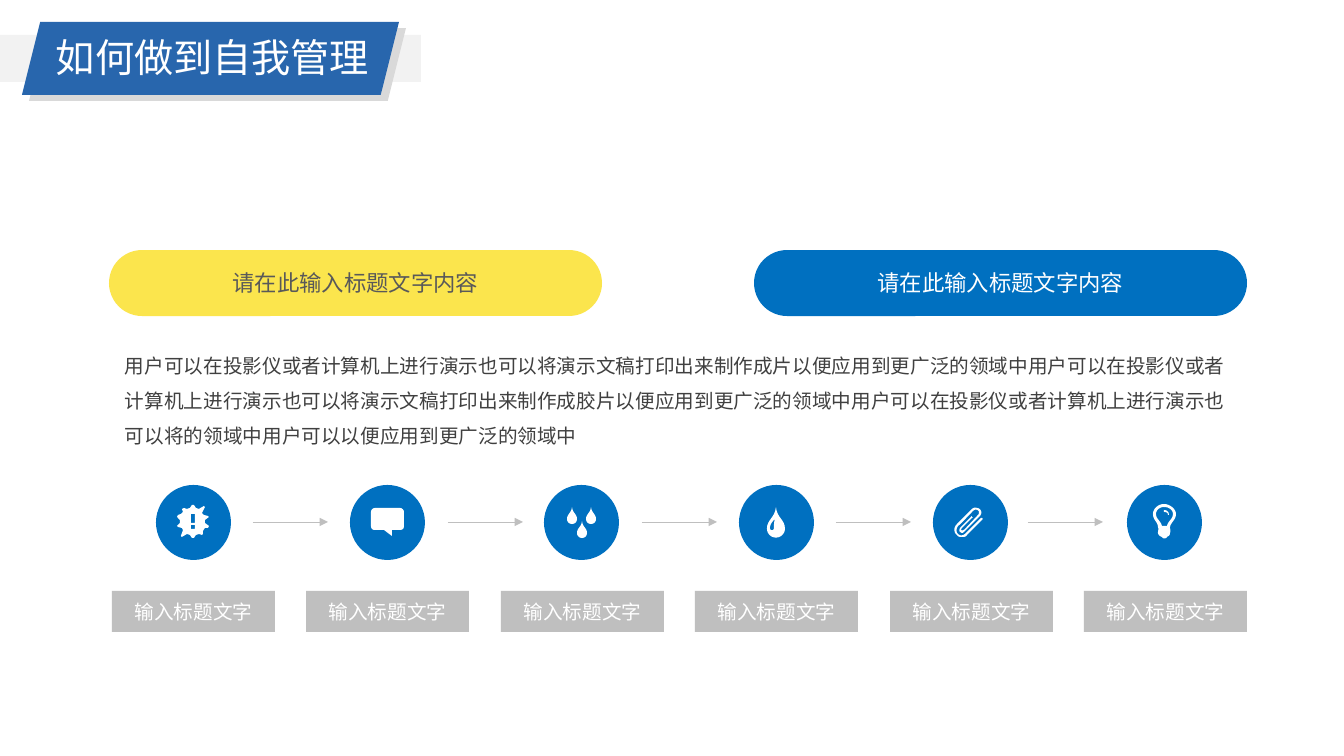
from lxml import etree
from pptx import Presentation
from pptx import util as u
from pptx.dml.color import RGBColor
from pptx.enum import shapes, text
from pptx.oxml import ns

PX = 914400 / 100.8
FONT = "Noto Sans CJK SC"
WHITE = RGBColor(0xFF, 0xFF, 0xFF)
BLUE = RGBColor(0x00, 0x70, 0xC0)
TITLE_BLUE = RGBColor(0x28, 0x66, 0xAD)
YELLOW = RGBColor(0xFB, 0xE5, 0x4D)
PALE_GRAY = RGBColor(0xF2, 0xF2, 0xF2)
SHADE_GRAY = RGBColor(0xD9, 0xD9, 0xD9)
GRAY = RGBColor(0xBF, 0xBF, 0xBF)
DARK_GRAY = RGBColor(0x59, 0x59, 0x59)
BODY_GRAY = RGBColor(0x40, 0x40, 0x40)
KIND = shapes.MSO_SHAPE

presentation = Presentation()
presentation.slide_width = u.Emu(round(1344 * PX))
presentation.slide_height = u.Emu(round(756 * PX))
slide = presentation.slides.add_slide(presentation.slide_layouts[6])


def add_block(kind, box, color):
    shape = slide.shapes.add_shape(kind, *[round(length * PX) for length in box])
    shape.shadow.inherit = False
    shape.fill.solid()
    shape.fill.fore_color.rgb = color
    shape.line.fill.background()
    return shape


def write_text(shape, words, size, color, margins, align, anchor, wrap=False):
    frame = shape.text_frame
    frame.word_wrap = wrap
    frame.vertical_anchor = anchor
    frame.margin_left = frame.margin_right = round(margins[0] * PX)
    frame.margin_top = frame.margin_bottom = round(margins[1] * PX)
    frame.text = words
    paragraph = frame.paragraphs[0]
    paragraph.alignment = align
    run = paragraph.runs[0]
    run.font.size = u.Pt(size)
    run.font.color.rgb = color
    run.font.name = FONT
    east_asian = etree.SubElement(run.font._element, ns.qn("a:ea"))
    east_asian.set("typeface", FONT)
    return paragraph


LEFT, CENTER = text.PP_ALIGN.LEFT, text.PP_ALIGN.CENTER
TOP, MIDDLE = text.MSO_ANCHOR.TOP, text.MSO_ANCHOR.MIDDLE

# Header
add_block(KIND.RECTANGLE, (0, 35, 421, 47), PALE_GRAY)
add_block(KIND.PARALLELOGRAM, (29, 28, 377, 73), SHADE_GRAY)
add_block(KIND.PARALLELOGRAM, (22, 22, 377, 73), TITLE_BLUE)
title = slide.shapes.add_textbox(*[round(v * PX) for v in (46, 28, 337, 57)])
write_text(title, "如何做到自我管理", 28, WHITE, (10, 5), LEFT, TOP)

# Two headings
for left, fill, ink in ((109, YELLOW, DARK_GRAY), (754, BLUE, WHITE)):
    pill = add_block(KIND.ROUNDED_RECTANGLE, (left, 250, 493, 66), fill)
    pill.adjustments[0] = 0.5
    write_text(pill, "请在此输入标题文字内容", 16, ink, (2, 2), CENTER, MIDDLE)

# Body text
body = slide.shapes.add_textbox(*[round(v * PX) for v in (118, 338, 1129, 109)])
body_paragraph = write_text(
    body,
    "用户可以在投影仪或者计算机上进行演示也可以将演示文稿打印出来制作成片以便应用到更广泛的领域中"
    "用户可以在投影仪或者计算机上进行演示也可以将演示文稿打印出来制作成胶片以便应用到更广泛的领域中"
    "用户可以在投影仪或者计算机上进行演示也可以将的领域中用户可以以便应用到更广泛的领域中",
    14, BODY_GRAY, (7, 4), LEFT, TOP, wrap=True)
body_paragraph.line_spacing = 1.5

# Icon outlines, in px from the corner of the circle:
# two numbers are a corner, six numbers are a Bézier curve
burst = [
    [(53, 41), (49, 38), (49, 35), (53, 32), (52, 31), (48, 30), (46, 28), (49, 22),
     (48, 21), (43, 24), (40, 23), (38, 20), (36, 20), (34, 23), (31, 24), (28, 23),
     (26, 24), (27, 27), (25, 29), (22, 30), (21, 32), (24, 35), (24, 38), (21, 41),
     (22, 42), (26, 43), (27, 45), (25, 51), (26, 52), (31, 49), (34, 50), (36, 53),
     (38, 53), (40, 50), (43, 49), (46, 50), (47, 49), (47, 46), (49, 43), (52, 43)],
    [(35, 29), (39, 29), (39, 38), (35, 38)],
    [(35, 40), (39, 40), (39, 44), (35, 44)],
]
speech = [[
    (50, 23), (25, 23), (23, 23, 21, 25, 21, 27), (21, 41), (21, 44, 23, 45, 25, 45),
    (34, 45), (42, 51), (42, 45), (50, 45), (52, 45, 54, 44, 54, 41), (54, 27),
    (54, 25, 52, 23, 50, 23),
]]
unit_drop = [
    (0, 0), (-0.1, 1.2, -1, 1.4, -1, 2.4), (-1, 2.95, -0.55, 3.4, 0, 3.4),
    (0.55, 3.4, 1, 2.95, 1, 2.4), (1, 1.4, 0.1, 1.2, 0, 0),
]
drops = []
for tip_x, tip_y, radius in ((38, 36, 5), (47, 22, 5), (28, 22, 5), (37, 22, 9)):
    drops.append([[(tip_y if i % 2 else tip_x) + radius * value
                   for i, value in enumerate(step)] for step in unit_drop])
glint = [(36, 34), (35, 37, 35, 40, 35, 43), (35, 46, 31, 46, 31, 43),
         (31, 39, 34, 36, 36, 34)]
clip = [[
    (29, 52), (27, 52, 25, 52, 24, 50), (21, 48, 20, 43, 24, 39),
    (26, 37, 35, 28, 39, 24), (40, 23, 42, 22, 44, 23), (46, 23, 48, 25, 48, 26),
    (49, 28, 48, 30, 46, 32), (32, 46), (31, 47, 30, 48, 29, 48),
    (28, 48, 28, 47, 27, 47), (26, 46, 26, 44, 28, 42), (38, 32),
    (38, 31, 39, 31, 39, 32), (40, 32, 40, 33, 39, 33), (29, 43),
    (28, 44, 28, 45, 28, 45), (29, 45, 29, 46, 29, 46), (30, 45, 30, 45, 31, 45),
    (45, 30), (46, 29, 46, 28, 46, 27), (46, 26, 45, 25, 44, 25),
    (43, 24, 41, 25, 40, 26), (36, 30, 28, 39, 25, 41), (23, 44, 23, 47, 25, 49),
    (27, 51, 30, 51, 33, 48), (48, 33), (48, 33, 49, 33, 49, 33),
    (50, 34, 50, 34, 49, 35), (34, 50), (33, 52, 31, 52, 29, 52),
]]
bulb = [
    [(37, 19), (43, 19, 49, 24, 49, 29), (49, 35, 44, 37, 43, 42),
     (43, 44, 44, 46, 43, 48), (43, 51, 41, 51, 40, 52), (39, 54, 36, 54, 35, 52),
     (33, 51, 32, 51, 31, 48), (31, 46, 32, 44, 31, 42), (31, 37, 26, 35, 26, 29),
     (26, 24, 31, 19, 37, 19)],
    [(37, 22), (42, 22, 46, 25, 46, 29), (46, 34, 41, 36, 40, 41), (35, 41),
     (34, 36, 29, 34, 29, 29), (29, 25, 33, 22, 37, 22)],
    [(37, 25), (41, 25, 42, 28, 42, 30), (41, 30), (41, 28, 40, 27, 37, 27)],
]

# Six steps: circle, icon and label
FINE = 100
CURVE_STEPS = 8
icons = [burst, speech, drops[:3], [drops[3], glint], clip, bulb]
for index, icon in enumerate(icons):
    circle_left = round(156 + index * 194.2)
    add_block(KIND.OVAL, (circle_left, 485, 75, 75), BLUE)

    builder = None
    for contour in icon:
        points = [tuple(contour[0])]
        for step in contour[1:]:
            if len(step) == 2:
                points.append(step)
                continue
            x0, y0 = points[-1]
            x1, y1, x2, y2, x3, y3 = step
            for part in range(1, CURVE_STEPS + 1):
                t = part / CURVE_STEPS
                a, b, c, d = (1 - t) ** 3, 3 * t * (1 - t) ** 2, 3 * t * t * (1 - t), t ** 3
                points.append((a * x0 + b * x1 + c * x2 + d * x3,
                               a * y0 + b * y1 + c * y2 + d * y3))
        points = [(round(x * FINE), round(y * FINE)) for x, y in points]
        if builder is None:
            builder = slide.shapes.build_freeform(*points[0], scale=PX / FINE)
        else:
            builder.move_to(*points[0])
        builder.add_line_segments(points[1:], close=True)
    symbol = builder.convert_to_shape(round(circle_left * PX), round(485 * PX))
    symbol.shadow.inherit = False
    symbol.fill.solid()
    symbol.fill.fore_color.rgb = WHITE
    symbol.line.fill.background()

    label = add_block(KIND.RECTANGLE, (round(112 + index * 194.4), 591, 163, 41), GRAY)
    write_text(label, "输入标题文字", 14, WHITE, (3, 3), CENTER, MIDDLE)

# Arrows between the steps
for start in (253, 448, 642, 836, 1028):
    arrow = slide.shapes.add_connector(
        shapes.MSO_CONNECTOR.STRAIGHT,
        *[round(v * PX) for v in (start, 522, start + 75, 522)])
    arrow.line.color.rgb = GRAY
    arrow.line.width = u.Pt(0.25)
    properties = arrow._element.spPr
    etree.SubElement(properties.find(ns.qn("a:ln")), ns.qn("a:tailEnd")).set("type", "triangle")
    etree.SubElement(properties, ns.qn("a:effectLst"))

presentation.save("out.pptx")
